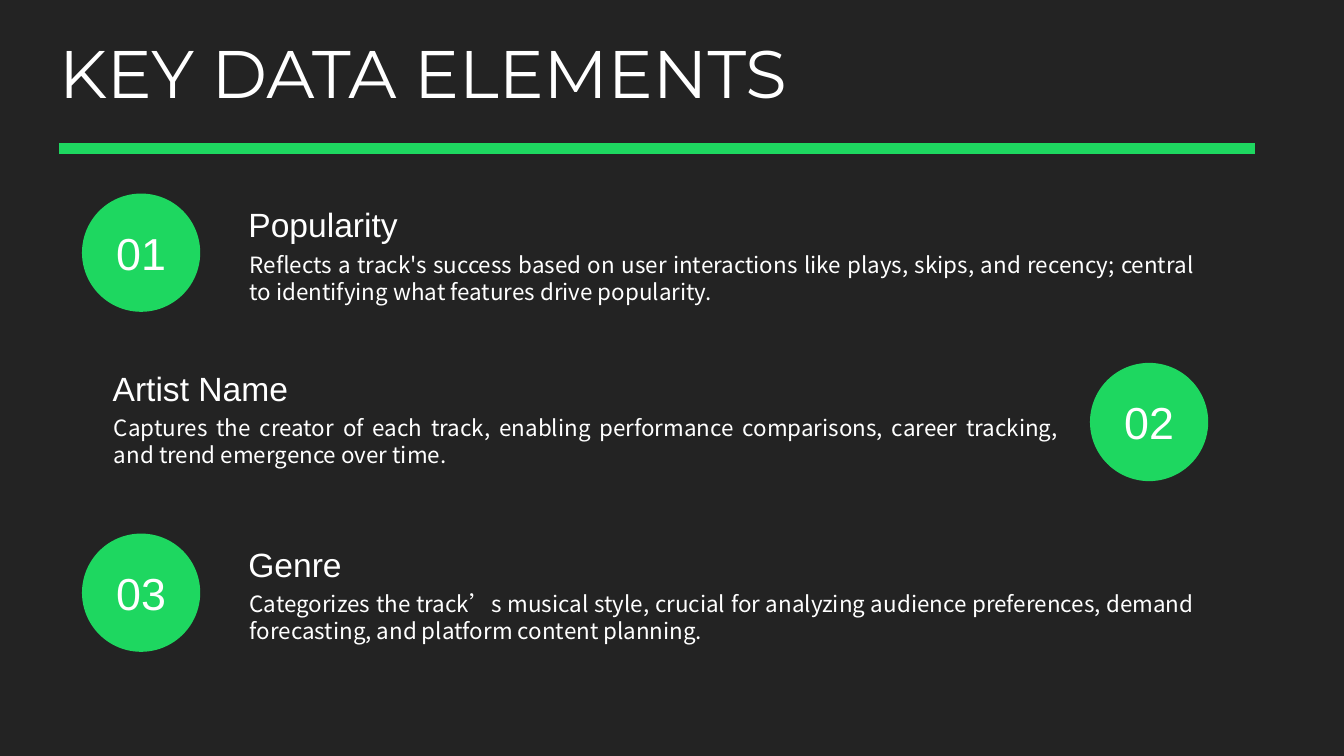
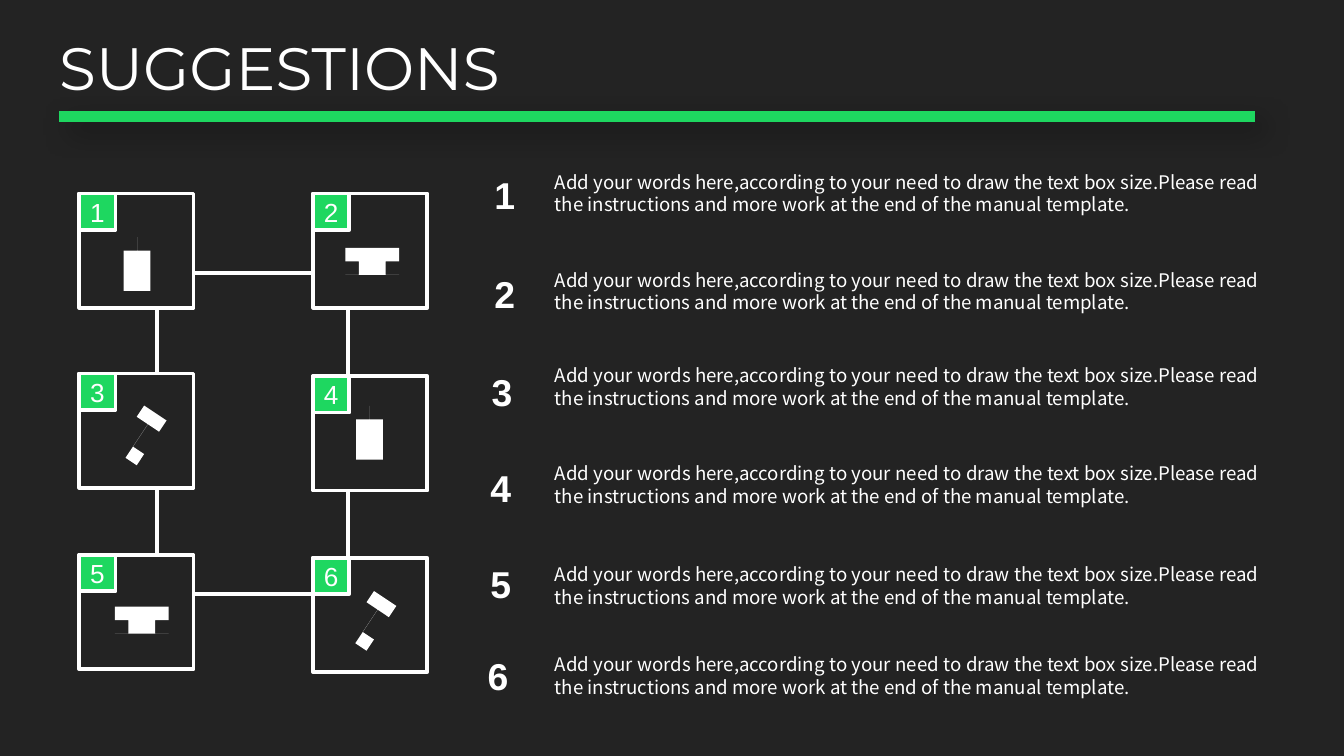
from dataclasses import dataclass
from math import cos, pi, sin
from typing import Callable

from lxml.etree import SubElement
from pptx import Presentation
from pptx.dml.color import RGBColor
from pptx.enum.shapes import MSO_CONNECTOR, MSO_SHAPE
from pptx.enum.text import MSO_ANCHOR, MSO_AUTO_SIZE, PP_ALIGN
from pptx.oxml.ns import qn
from pptx.util import Emu, Inches, Pt

# Theme
COLORS = {"background": "232323", "accent": "1ED760", "light": "FFFFFF", "shadow": "000000"}
TITLE_FONT, LABEL_FONT, BODY_FONT = "Montserrat", "Arial", "Noto Sans CJK SC"

# Grid of 100 columns; rows are as tall as columns are wide
SLIDE_WIDTH, SLIDE_HEIGHT = Inches(10), Inches(5.625)
CELL = SLIDE_WIDTH // 100

Point = tuple[float, float]
Contour = list[Point]


@dataclass(frozen=True)
class Area:
    left: float
    top: float
    width: float
    height: float

    def lengths(self) -> list[Emu]:
        return [cells(n) for n in (self.left, self.top, self.width, self.height)]


@dataclass(frozen=True)
class TextStyle:
    font: str
    size: float
    bold: bool = False
    align: PP_ALIGN = PP_ALIGN.LEFT


@dataclass(frozen=True)
class Element:
    number: str
    name: str
    description: str
    circle: Point
    name_at: Point
    description_top: float


@dataclass(frozen=True)
class Tile:
    left: float
    top: float
    icon: Callable[[], list[Contour]]
    center: Point
    rotation: float = 0


@dataclass(frozen=True)
class Suggestion:
    number_left: float
    number_top: float
    text_top: float


CIRCLE_SIZE, TILE_SIZE, BADGE_SIZE = 8.8, 8.5, 2.7
HEADING = TextStyle(LABEL_FONT, 18)
CIRCLE_NUMBER = TextStyle(LABEL_FONT, 24, align=PP_ALIGN.CENTER)
BADGE_NUMBER = TextStyle(LABEL_FONT, 14, align=PP_ALIGN.CENTER)
LIST_NUMBER = TextStyle(LABEL_FONT, 20, bold=True)
DESCRIPTION = TextStyle(BODY_FONT, 12, align=PP_ALIGN.JUSTIFY)
SUGGESTION = TextStyle(BODY_FONT, 10, align=PP_ALIGN.JUSTIFY)


def cells(count: float) -> Emu:
    return Emu(round(count * CELL))


def color(name: str) -> RGBColor:
    return RGBColor.from_string(COLORS[name])


# Text
def write(frame, text: str, style: TextStyle) -> None:
    frame.word_wrap = True
    frame.text = text
    para = frame.paragraphs[0]
    para.alignment = style.align
    para.font.name = style.font
    para.font.size = Pt(style.size)
    para.font.bold = style.bold
    para.font.color.rgb = color("light")


def add_text(page, area: Area, text: str, style: TextStyle) -> None:
    frame = page.shapes.add_textbox(*area.lengths()).text_frame
    write(frame, text, style)
    frame.auto_size = MSO_AUTO_SIZE.SHAPE_TO_FIT_TEXT


# Shapes
def add_box(page, kind: MSO_SHAPE, area: Area, fill: str = "", outlined: bool = True):
    box = page.shapes.add_shape(kind, *area.lengths())
    box.shadow.inherit = False
    if fill:
        box.fill.solid()
        box.fill.fore_color.rgb = color(fill)
    else:
        box.fill.background()
    if outlined:
        box.line.color.rgb = color("light")
        box.line.width = Pt(2)
    else:
        box.line.fill.background()
    return box


def label_box(box, text: str, style: TextStyle) -> None:
    frame = box.text_frame
    frame.margin_left = frame.margin_right = frame.margin_top = frame.margin_bottom = 0
    frame.vertical_anchor = MSO_ANCHOR.MIDDLE
    write(frame, text, style)


def add_rule(page, row: float, shadowed: bool) -> None:
    y = cells(row)
    rule = page.shapes.add_connector(MSO_CONNECTOR.STRAIGHT, cells(4.4), y, cells(93.4), y)
    rule.line.color.rgb = color("accent")
    rule.line.width = Pt(6)
    effects = SubElement(rule._element.spPr, qn("a:effectLst"))
    if shadowed:
        shadow = SubElement(effects, qn("a:outerShdw"), blurRad=str(Pt(15)),
                            dist=str(Pt(6.2)), dir="2700000", algn="tl", rotWithShape="0")
        tint = SubElement(shadow, qn("a:srgbClr"), val=COLORS["shadow"])
        SubElement(tint, qn("a:alpha"), val="36000")


def add_page(deck, title: str, size: float, rule_row: float, title_width: float,
             shadowed: bool = False):
    page = deck.slides.add_slide(deck.slide_layouts[5])
    holder = page.shapes.title
    holder.left, holder.top, holder.width, holder.height = Area(3.4, 1.8, title_width, 6.8).lengths()
    write(holder.text_frame, title, TextStyle(TITLE_FONT, size))
    holder.text_frame.vertical_anchor = MSO_ANCHOR.TOP
    holder.text_frame.auto_size = MSO_AUTO_SIZE.NONE
    add_rule(page, rule_row, shadowed)
    return page


# Icons: contours in cells around the icon's centre
def arc(x: float, y: float, rx: float, ry: float, start: float, end: float) -> Contour:
    steps = 24
    angles = (start + (end - start) * i / steps for i in range(steps + 1))
    return [(x + rx * cos(a), y + ry * sin(a)) for a in angles]


def trefoil(radius: float, swing: float) -> Contour:
    points = []
    for i in range(48):
        angle = 2 * pi * i / 48
        reach = radius + swing * cos(3 * (angle + pi / 2))
        points.append((1.15 * reach * cos(angle), reach * sin(angle) - 1.45))
    return points


def lock_icon() -> list[Contour]:
    corner = 0.25
    body = (arc(0, -0.55, 0.9, 1, pi, 2 * pi)
            + arc(1.4 - corner, -0.55 + corner, corner, corner, -pi / 2, 0)
            + arc(1.4 - corner, 1.55 - corner, corner, corner, 0, pi / 2)
            + arc(corner - 1.4, 1.55 - corner, corner, corner, pi / 2, pi)
            + arc(corner - 1.4, -0.55 + corner, corner, corner, pi, 1.5 * pi))
    opening = arc(0, -0.55, 0.6, 0.7, pi, 2 * pi)
    keyhole = arc(0, 0.15, 0.3, 0.3, 0.65 * pi, 2.35 * pi) + [(0.25, 1.05), (-0.25, 1.05)]
    return [body, opening, keyhole]


def bars_icon() -> list[Contour]:
    bars = []
    for i, half in enumerate((0.75, 1.5, 1, 1.72)):
        top = -1.35 + 0.73 * i
        bars.append([(-half, top), (half, top), (half, top + 0.5), (-half, top + 0.5)])
    return bars


def key_icon() -> list[Contour]:
    shaft = [(-0.26, -0.8), (0.26, -0.8), (0.28, -0.55), (0.13, -0.45), (0.13, 1),
             (0.26, 1.03), (0.26, 1.17), (0.74, 1.19), (0.85, 1.36), (0.74, 1.53),
             (0.26, 1.53), (0.28, 1.61), (0.74, 1.57), (0.9, 1.78), (0.74, 1.91),
             (0.29, 1.97), (0.32, 2.19), (0.07, 2.4), (-0.26, 2.22), (-0.32, 1.05),
             (-0.15, 0.94), (-0.15, -0.45), (-0.28, -0.55)]
    return [trefoil(0.8, 0.16), trefoil(0.42, 0.18), shaft]


def add_icon(page, contours: list[Contour], center: Point, rotation: float) -> None:
    first, *others = contours
    builder = page.shapes.build_freeform(*first[0], scale=float(CELL))
    builder.add_line_segments(first[1:], close=True)
    for contour in others:
        builder.move_to(*contour[0])
        builder.add_line_segments(contour[1:], close=True)
    icon = builder.convert_to_shape(cells(center[0]), cells(center[1]))
    icon.shadow.inherit = False
    icon.fill.solid()
    icon.fill.fore_color.rgb = color("light")
    icon.line.fill.background()
    icon.rotation = rotation


# Content
ELEMENTS = [
    Element("01", "Popularity",
            "Reflects a track's success based on user interactions like plays, skips, and "
            "recency; central to identifying what features drive popularity.",
            (6.1, 14.4), (17.5, 14.7), 18.2),
    Element("02", "Artist Name",
            "Captures the creator of each track, enabling performance comparisons, career "
            "tracking, and trend emergence over time.",
            (81.1, 27), (7.4, 26.9), 30.3),
    Element("03", "Genre",
            "Categorizes the track’s musical style, crucial for analyzing audience "
            "preferences, demand forecasting, and platform content planning.",
            (6.1, 39.7), (17.5, 40), 43.4),
]
TILES = [
    Tile(5.9, 14.4, lock_icon, (10.2, 19.65)),
    Tile(23.3, 14.4, bars_icon, (27.7, 19.45)),
    Tile(5.9, 27.8, key_icon, (10.45, 32.4), 33.7),
    Tile(23.3, 28, lock_icon, (27.5, 32.2)),
    Tile(5.9, 41.3, bars_icon, (10.55, 46.15)),
    Tile(23.3, 41.5, key_icon, (27.55, 46.2), 33.7),
]
SUGGESTIONS = [
    Suggestion(35.8, 12.3, 12.2), Suggestion(35.8, 19.7, 19.5), Suggestion(35.6, 27, 26.6),
    Suggestion(35.5, 34.1, 33.9), Suggestion(35.5, 41.3, 41.4), Suggestion(35.3, 48.1, 48.1),
]
SUGGESTION_TEXT = ("Add your words here,according to your need to draw the text box size."
                   "Please read the instructions and more work at the end of the manual template.")


def build_elements(deck) -> None:
    page = add_page(deck, "KEY DATA ELEMENTS", 36, 11.05, 67.7)
    for item in ELEMENTS:
        circle = add_box(page, MSO_SHAPE.OVAL, Area(*item.circle, CIRCLE_SIZE, CIRCLE_SIZE),
                         "accent", outlined=False)
        label_box(circle, item.number, CIRCLE_NUMBER)
        add_text(page, Area(*item.name_at, 33.3, 4), item.name, HEADING)
        add_text(page, Area(item.name_at[0] + 0.1, item.description_top, 72.3, 5.8),
                 item.description, DESCRIPTION)


def build_suggestions(deck) -> None:
    page = add_page(deck, "SUGGESTIONS", 32, 8.7, 44.9, shadowed=True)
    # Loop behind the tiles
    add_box(page, MSO_SHAPE.RECTANGLE, Area(11.7, 20.3, 14.2, 23.9))
    for number, tile in enumerate(TILES, 1):
        add_box(page, MSO_SHAPE.RECTANGLE, Area(tile.left, tile.top, TILE_SIZE, TILE_SIZE),
                "background")
        badge = add_box(page, MSO_SHAPE.RECTANGLE,
                        Area(tile.left, tile.top, BADGE_SIZE, BADGE_SIZE), "accent")
        label_box(badge, str(number), BADGE_NUMBER)
        add_icon(page, tile.icon(), tile.center, tile.rotation)
    # Numbered texts
    for number, item in enumerate(SUGGESTIONS, 1):
        add_text(page, Area(item.number_left, item.number_top, 4.4, 4.4), str(number), LIST_NUMBER)
        add_text(page, Area(40.3, item.text_top, 54.3, 5), SUGGESTION_TEXT, SUGGESTION)


def main() -> None:
    deck = Presentation()
    deck.slide_width, deck.slide_height = SLIDE_WIDTH, SLIDE_HEIGHT
    backdrop = deck.slide_master.background.fill
    backdrop.solid()
    backdrop.fore_color.rgb = color("background")
    build_elements(deck)
    build_suggestions(deck)
    deck.save("out.pptx")


if __name__ == "__main__":
    main()
